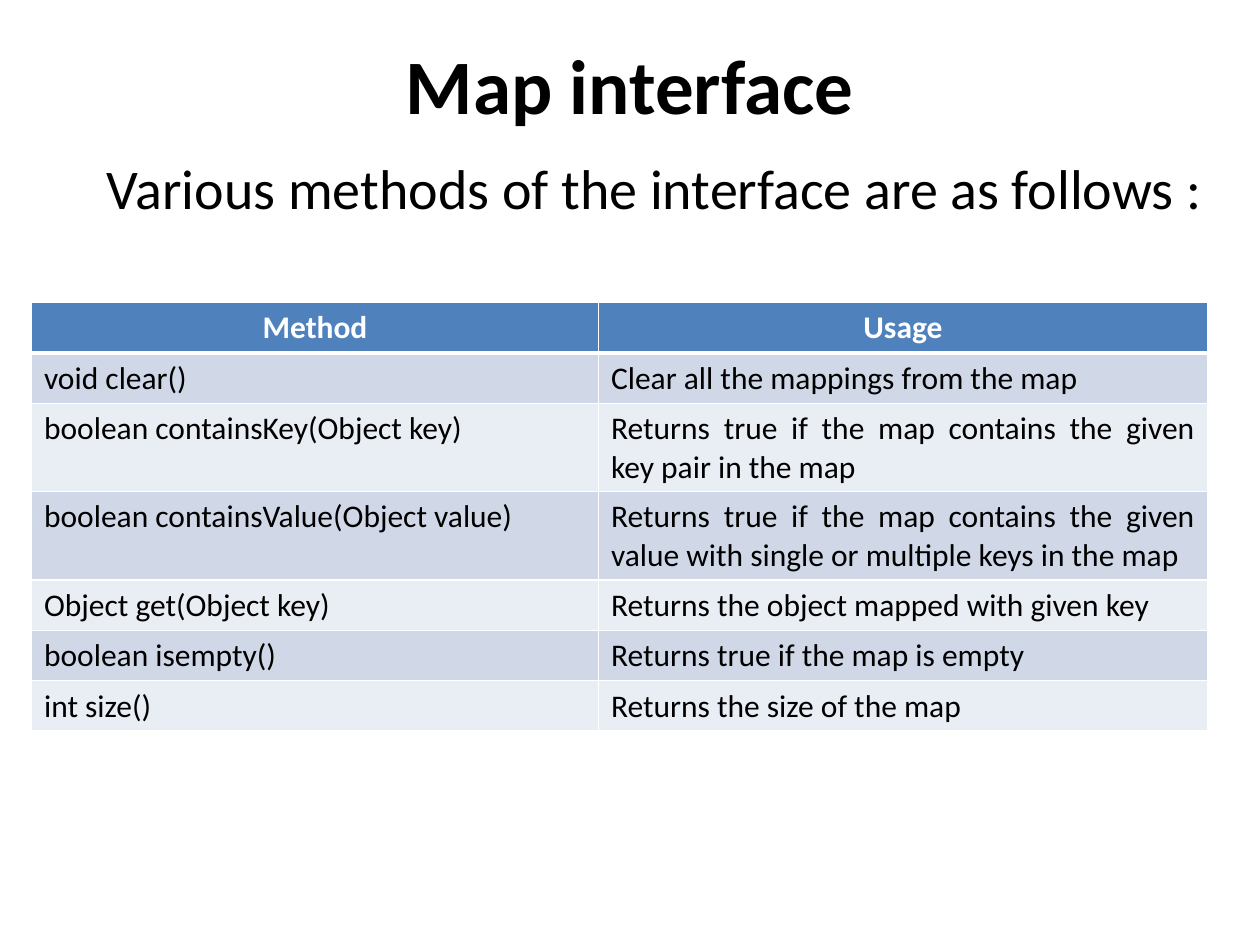
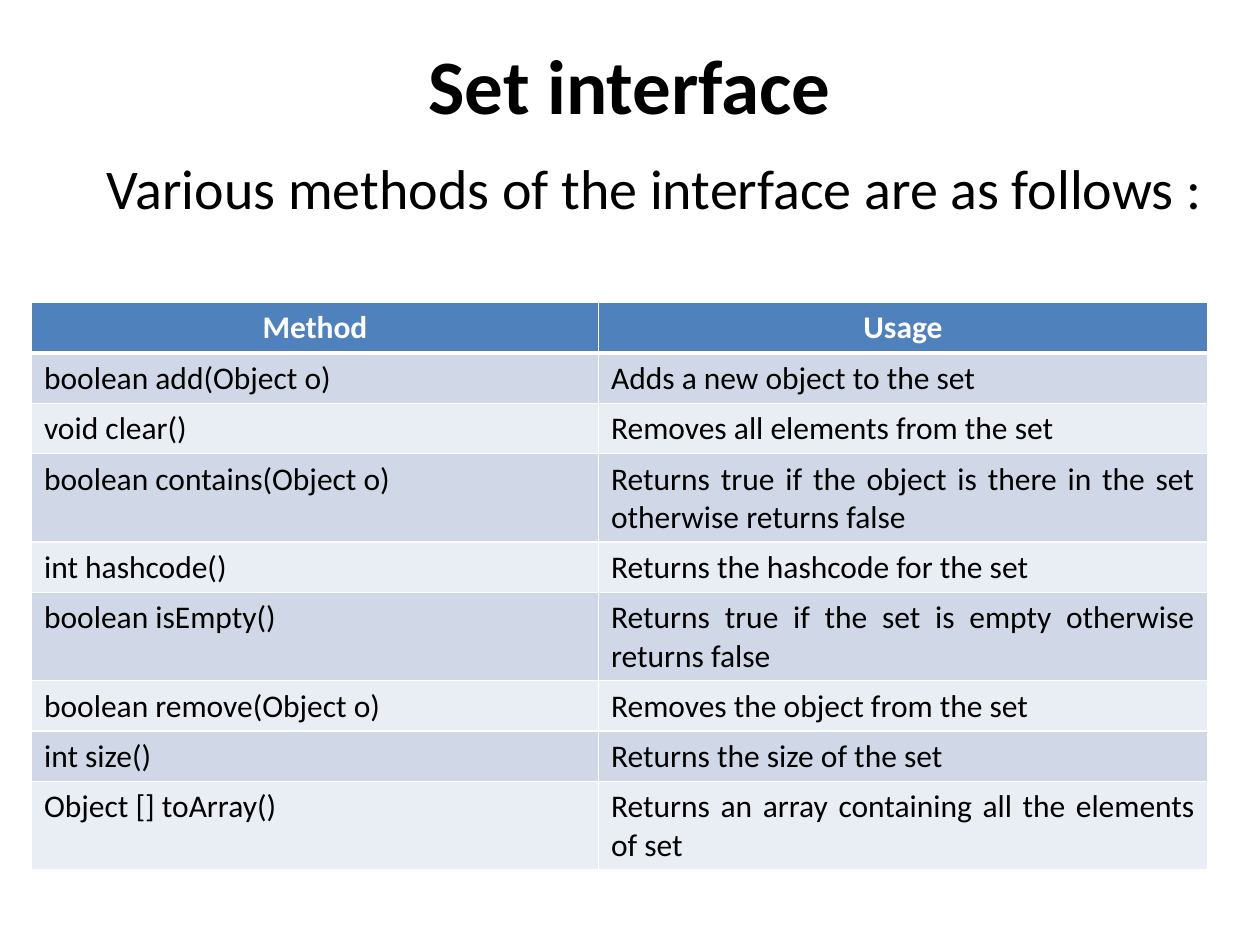
from collections import namedtuple
from dataclasses import dataclass

from lxml.etree import SubElement
from pptx import Presentation
from pptx.dml.color import RGBColor as Color
from pptx.enum.text import MSO_ANCHOR as Anchor, MSO_AUTO_SIZE as AutoSize, PP_ALIGN as Align
from pptx.oxml.ns import qn
from pptx.util import Pt

Box = namedtuple("Box", "left top width height")


@dataclass(frozen=True)
class Theme:
    font: str = "Calibri"
    title_size: int = 44
    intro_size: int = 32
    table_size: int = 18
    ink: str = "000000"
    paper: str = "FFFFFF"
    header: str = "4F81BD"
    bands: tuple = ("D0D8E8", "E9EDF4")
    rule: int = 1
    header_rule: int = 3


THEME = Theme()
PAGE_WIDTH, PAGE_HEIGHT = 720, 540
TITLE_BOX = Box(0, 12, PAGE_WIDTH, 72)
INTRO_BOX = Box(18, 84, 690, 85)
TABLE_BOX = Box(18, 172.8, 672, 0)
METHOD_WIDTH = 324
ROW_HEIGHT = 25.2
INTRO = "\tVarious methods of the interface are as follows :"
HEADINGS = ("Method", "Usage")

INTERFACES = {
    "Map interface": [
        ("void clear()", "Clear all the mappings from the map"),
        ("boolean containsKey(Object key)",
         "Returns true if the map contains the given key pair in the map"),
        ("boolean containsValue(Object value)",
         "Returns true if the map contains the given value with single or multiple keys in the map"),
        ("Object get(Object key)", "Returns the object mapped with given key"),
        ("boolean isempty()", "Returns true if the map is empty"),
        ("int size()", "Returns the size of the map"),
    ],
    "Set interface": [
        ("boolean add(Object o)", "Adds a new object to the set"),
        ("void clear()", "Removes all elements from the set"),
        ("boolean contains(Object o)",
         "Returns true if the object is there in the set otherwise returns false"),
        ("int hashcode()", "Returns the hashcode for the set"),
        ("boolean isEmpty()", "Returns true if the set is empty otherwise returns false"),
        ("boolean remove(Object o)", "Removes the object from the set"),
        ("int size()", "Returns the size of the set"),
        ("Object [] toArray()", "Returns an array containing all the elements of set"),
    ],
}


def write(frame, text, size, align, color=THEME.ink, bold=False):
    para = frame.paragraphs[0]
    para.text = text
    para.alignment = align
    font = para.font
    font.name, font.size, font.bold = THEME.font, Pt(size), bold
    font.color.rgb = Color.from_string(color)


def add_text(page, box, text, size, align, bold=False, anchor=Anchor.TOP):
    frame = page.shapes.add_textbox(*map(Pt, box)).text_frame
    frame.word_wrap = True
    frame.vertical_anchor = anchor
    write(frame, text, size, align, bold=bold)
    return frame


def set_borders(cell, top, bottom):
    properties = cell._tc.get_or_add_tcPr()
    widths = {"L": THEME.rule, "R": THEME.rule, "T": top, "B": bottom}
    for side, width in widths.items():
        line = SubElement(properties, qn(f"a:ln{side}"), w=str(Pt(width)))
        fill = SubElement(line, qn("a:solidFill"))
        SubElement(fill, qn("a:srgbClr"), val=THEME.paper)


def add_method_table(page, box, methods):
    rows = [HEADINGS, *methods]
    height = ROW_HEIGHT * len(rows)
    table = page.shapes.add_table(
        len(rows), 2, Pt(box.left), Pt(box.top), Pt(box.width), Pt(height)).table
    table.horz_banding = False
    for column, width in zip(table.columns, (METHOD_WIDTH, box.width - METHOD_WIDTH)):
        column.width = Pt(width)

    for row_index, texts in enumerate(rows):
        table.rows[row_index].height = Pt(ROW_HEIGHT)
        is_header = row_index == 0
        # The heavy rule lies between the header and the first method
        top = THEME.header_rule if row_index == 1 else THEME.rule
        bottom = THEME.header_rule if is_header else THEME.rule
        back = THEME.header if is_header else THEME.bands[(row_index - 1) % 2]
        color = THEME.paper if is_header else THEME.ink
        aligns = (Align.CENTER,) * 2 if is_header else (Align.LEFT, Align.JUSTIFY)
        for column_index, (text, align) in enumerate(zip(texts, aligns)):
            cell = table.cell(row_index, column_index)
            set_borders(cell, top, bottom)
            cell.fill.solid()
            cell.fill.fore_color.rgb = Color.from_string(back)
            write(cell.text_frame, text, THEME.table_size, align, color, is_header)


def add_interface_page(deck, title, methods):
    page = deck.slides.add_slide(deck.slide_layouts[6])
    # Title
    add_text(page, TITLE_BOX, title, THEME.title_size, Align.CENTER, True, Anchor.MIDDLE)
    # Introduction
    intro = add_text(page, INTRO_BOX, INTRO, THEME.intro_size, Align.JUSTIFY)
    intro.auto_size = AutoSize.SHAPE_TO_FIT_TEXT
    # Methods
    add_method_table(page, TABLE_BOX, methods)


def main():
    deck = Presentation()
    deck.slide_width, deck.slide_height = Pt(PAGE_WIDTH), Pt(PAGE_HEIGHT)
    for title, methods in INTERFACES.items():
        add_interface_page(deck, title, methods)
    deck.save("out.pptx")


if __name__ == "__main__":
    main()
